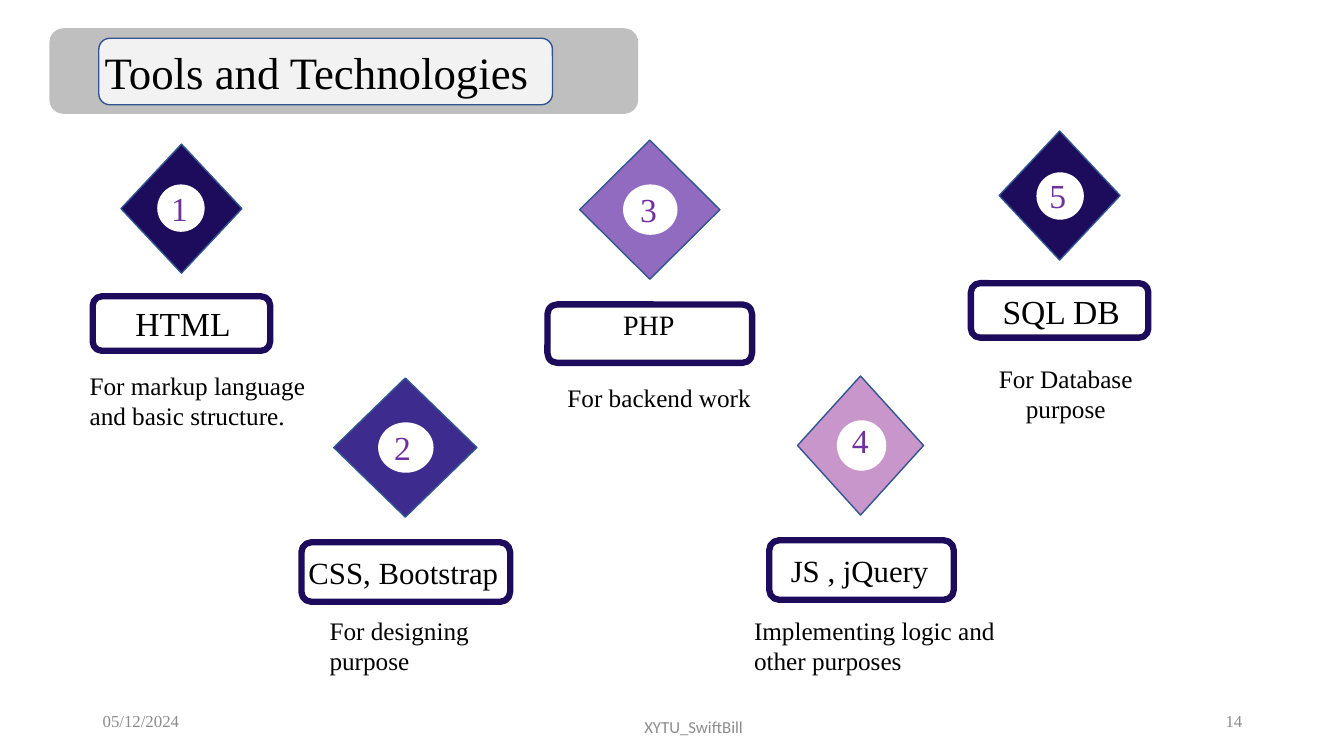
from dataclasses import dataclass

from pptx import Presentation
from pptx.dml.color import RGBColor
from pptx.enum.shapes import MSO_SHAPE as SHAPE
from pptx.enum.text import MSO_ANCHOR as ANCHOR, PP_ALIGN as ALIGN
from pptx.util import Inches, Pt

BLACK = RGBColor(0x00, 0x00, 0x00)
WHITE = RGBColor(0xFF, 0xFF, 0xFF)
GREY = RGBColor(0x8C, 0x8C, 0x8C)
BANNER = RGBColor(0xBF, 0xBF, 0xBF)
PLATE = RGBColor(0xF2, 0xF2, 0xF2)
BLUE = RGBColor(0x32, 0x54, 0x91)
NAVY = RGBColor(0x1C, 0x0C, 0x5B)
INDIGO = RGBColor(0x3D, 0x2C, 0x8D)
VIOLET = RGBColor(0x91, 0x6B, 0xBF)
PINK = RGBColor(0xC9, 0x96, 0xCC)
PURPLE = RGBColor(0x70, 0x30, 0xA0)

SERIF = "Times New Roman"


@dataclass
class Tool:
    """One numbered tool; every box is left, top, width, height in inches."""
    name: str
    size: int
    purpose: str
    color: RGBColor
    diamond: tuple
    circle: tuple
    digit: tuple
    label: tuple
    frame: tuple
    note: tuple
    note_align: ALIGN = ALIGN.LEFT


TOOLS = [
    Tool("HTML", 24, "For markup language and basic structure.", NAVY,
         diamond=(1.2, 1.43, 1.2, 1.28), circle=(1.56, 1.83, 0.47, 0.47),
         digit=(1.6, 1.82, 0.26, 0.5), label=(1.01, 2.96, 1.61, 0.5),
         frame=(0.92, 2.94, 1.76, 0.54), note=(0.79, 3.62, 2.65, 0.71)),
    Tool("CSS, Bootstrap", 22, "For designing purpose", INDIGO,
         diamond=(3.31, 3.75, 1.42, 1.38), circle=(3.75, 4.19, 0.55, 0.5),
         digit=(3.81, 4.19, 0.31, 0.5), label=(2.86, 5.44, 2.28, 0.47),
         frame=(2.99, 5.38, 2.07, 0.59), note=(3.17, 6.05, 2.28, 0.71)),
    Tool("PHP", 20, "For backend work", VIOLET,
         diamond=(5.75, 1.39, 1.39, 1.38), circle=(6.18, 1.83, 0.54, 0.5),
         digit=(6.25, 1.82, 0.3, 0.51), label=(5.2, 3, 2.47, 0.44),
         frame=(5.43, 3.02, 2.03, 0.58), note=(5.53, 3.74, 2.28, 0.4)),
    Tool("JS , jQuery", 22, "Implementing logic and other purposes", PINK,
         diamond=(7.91, 3.73, 1.25, 1.38), circle=(8.3, 4.17, 0.49, 0.5),
         digit=(8.35, 4.12, 0.27, 0.5), label=(7.52, 5.42, 2.01, 0.47),
         frame=(7.63, 5.36, 1.83, 0.59), note=(7.38, 6.05, 2.65, 0.71)),
    Tool("SQL DB", 24, "For Database purpose", NAVY,
         diamond=(9.91, 1.3, 1.2, 1.28), circle=(10.28, 1.71, 0.47, 0.47),
         digit=(10.31, 1.69, 0.26, 0.5), label=(9.72, 2.84, 1.61, 0.5),
         frame=(9.63, 2.81, 1.76, 0.54), note=(9.51, 3.55, 2.12, 0.71),
         note_align=ALIGN.CENTER),
]


def add_shape(shapes, kind, box, fill=None, line=None, weight=1):
    sp = shapes.add_shape(kind, *map(Inches, box))
    sp.shadow.inherit = False
    if fill is None:
        sp.fill.background()
    else:
        sp.fill.solid()
        sp.fill.fore_color.rgb = fill
    if line is None:
        sp.line.fill.background()
    else:
        sp.line.color.rgb = line
        sp.line.width = Pt(weight)


def add_text(shapes, text, box, size, color=BLACK, align=ALIGN.LEFT,
             font=SERIF, anchor=ANCHOR.TOP):
    tf = shapes.add_textbox(*map(Inches, box)).text_frame
    tf.word_wrap = True
    tf.vertical_anchor = anchor
    p = tf.paragraphs[0]
    p.text = text
    p.alignment = align
    r = p.runs[0]
    r.font.name = font
    r.font.size = Pt(size)
    r.font.color.rgb = color


def add_title(shapes):
    group = shapes.add_group_shape().shapes
    add_shape(group, SHAPE.ROUNDED_RECTANGLE, (0.49, 0.28, 5.84, 0.85), BANNER)
    add_shape(group, SHAPE.ROUNDED_RECTANGLE, (0.98, 0.38, 4.5, 0.66), PLATE, BLUE)
    add_text(shapes, "Tools and Technologies", (0.94, 0.39, 4.5, 0.64), 32)


def add_tool(shapes, number, tool):
    group = shapes.add_group_shape().shapes
    add_shape(group, SHAPE.DIAMOND, tool.diamond, tool.color, BLUE)
    add_shape(group, SHAPE.OVAL, tool.circle, WHITE)
    add_text(group, str(number), tool.digit, 24, PURPLE)
    add_text(group, tool.name, tool.label, tool.size, align=ALIGN.CENTER)
    add_shape(group, SHAPE.ROUNDED_RECTANGLE, tool.frame, line=NAVY, weight=4.5)
    add_text(shapes, tool.purpose, tool.note, 18, align=tool.note_align)


def add_footer(shapes):
    for text, box, align, font in [
        ("05/12/2024", (0.92, 6.95, 3, 0.4), ALIGN.LEFT, SERIF),
        ("XYTU_SwiftBill", (4.63, 7.01, 4.5, 0.4), ALIGN.CENTER, "Calibri"),
        ("14", (9.42, 6.95, 3, 0.4), ALIGN.RIGHT, SERIF),
    ]:
        add_text(shapes, text, box, 12, GREY, align, font, ANCHOR.MIDDLE)


def main():
    prs = Presentation()
    prs.slide_width, prs.slide_height = Inches(13.33), Inches(7.5)
    shapes = prs.slides.add_slide(prs.slide_layouts[6]).shapes
    add_title(shapes)
    for number, tool in enumerate(TOOLS, 1):
        add_tool(shapes, number, tool)
    add_footer(shapes)
    prs.save("out.pptx")


if __name__ == "__main__":
    main()
